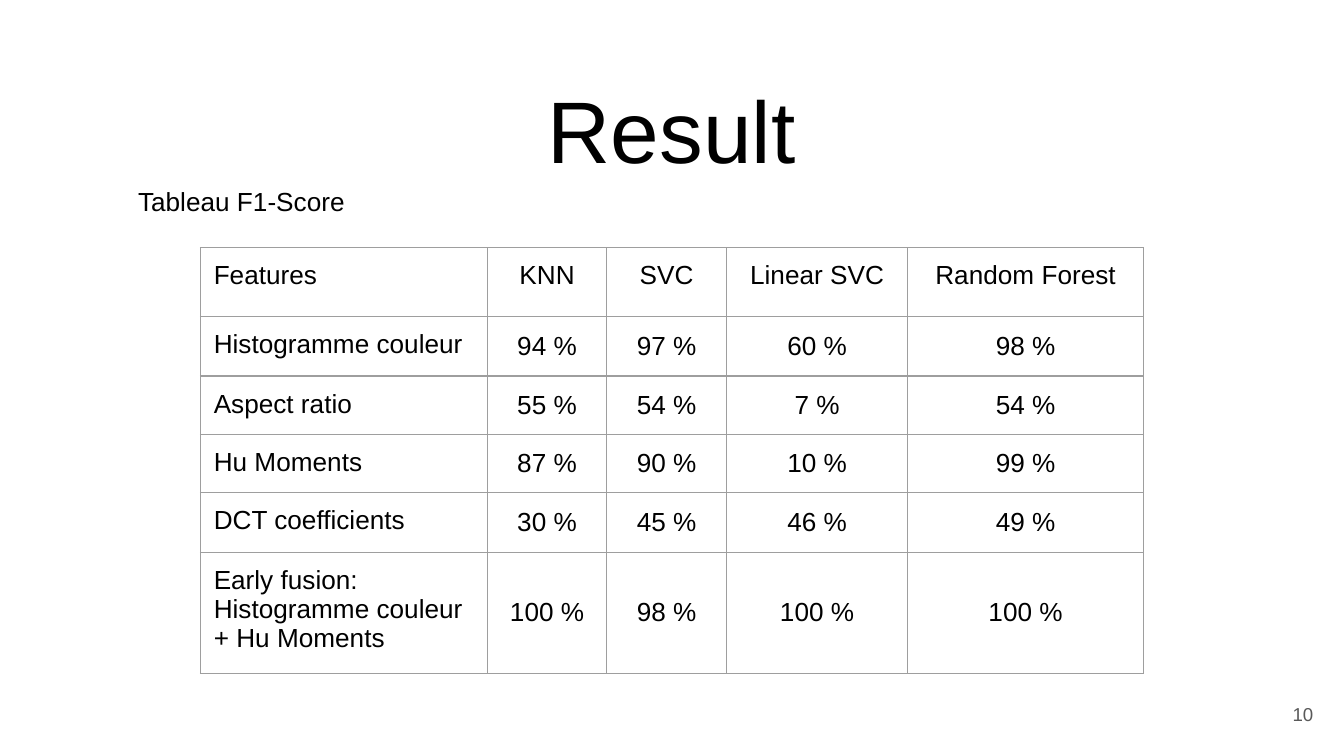
import pptx
import pptx.dml.color
import pptx.enum.text
import pptx.oxml
import pptx.oxml.ns
import pptx.util

Cm = pptx.util.Cm
Pt = pptx.util.Pt
Align = pptx.enum.text.PP_ALIGN
Anchor = pptx.enum.text.MSO_ANCHOR


def color(value):
    return pptx.dml.color.RGBColor.from_string(value)


class SlideBuilder:
    font = "Arial"
    ink = "000000"
    border = "9E9E9E"
    inset = Cm(0.25)

    def __init__(self, slide):
        self.slide = slide

    def set_text(self, text_frame, text, size, align, ink=ink):
        text_frame.text = text
        paragraph = text_frame.paragraphs[0]
        paragraph.alignment = align
        font = paragraph.runs[0].font
        font.name = self.font
        font.size = Pt(size)
        font.color.rgb = color(ink)

    def set_insets(self, target):
        target.margin_left = target.margin_right = self.inset
        target.margin_top = target.margin_bottom = self.inset

    def add_text(self, text, left, top, width, height, size,
                 align=Align.LEFT, anchor=Anchor.TOP, ink=ink):
        shape = self.slide.shapes.add_textbox(Cm(left), Cm(top), Cm(width), Cm(height))
        text_frame = shape.text_frame
        text_frame.word_wrap = True
        text_frame.vertical_anchor = anchor
        self.set_insets(text_frame)
        self.set_text(text_frame, text, size, align, ink)

    def add_borders(self, cell):
        properties = cell._tc.get_or_add_tcPr()
        for index, side in enumerate(("lnL", "lnR", "lnT", "lnB")):
            line = pptx.oxml.parse_xml(
                f'<a:{side} {pptx.oxml.ns.nsdecls("a")} w="{Pt(0.75)}">'
                f'<a:solidFill><a:srgbClr val="{self.border}"/></a:solidFill>'
                f'</a:{side}>')
            properties.insert(index, line)

    def add_table(self, rows, left, top, widths, heights, size):
        frame = self.slide.shapes.add_table(
            len(rows), len(widths), Cm(left), Cm(top), Cm(sum(widths)), Cm(sum(heights)))
        table = frame.table
        table.horz_banding = False
        table.first_row = False
        for column, width in zip(table.columns, widths):
            column.width = Cm(width)
        for row, height in zip(table.rows, heights):
            row.height = Cm(height)
        for row_index, values in enumerate(rows):
            for column_index, value in enumerate(values):
                cell = table.cell(row_index, column_index)
                is_score = row_index > 0 and column_index > 0
                cell.vertical_anchor = Anchor.MIDDLE if is_score else Anchor.TOP
                self.set_insets(cell)
                cell.fill.background()
                self.add_borders(cell)
                align = Align.CENTER if column_index else Align.LEFT
                self.set_text(cell.text_frame, value, size, align)


def main():
    presentation = pptx.Presentation()
    presentation.slide_width = Cm(25.4)
    presentation.slide_height = Cm(14.29)
    builder = SlideBuilder(presentation.slides.add_slide(presentation.slide_layouts[6]))

    builder.add_text("Result", 0.86, 0.28, 23.67, 3.4, 46.8, Align.CENTER, Anchor.BOTTOM)
    builder.add_text("Tableau F1-Score", 2.36, 3.25, 5.87, 1.12, 14)
    builder.add_text("10", 23.55, 12.95, 1.52, 1.09, 10, Align.RIGHT, Anchor.MIDDLE, "595959")

    scores = {
        "Histogramme couleur": (94, 97, 60, 98),
        "Aspect ratio": (55, 54, 7, 54),
        "Hu Moments": (87, 90, 10, 99),
        "DCT coefficients": (30, 45, 46, 49),
        "Early fusion: Histogramme couleur + Hu Moments": (100, 98, 100, 100),
    }
    rows = [["Features", "KNN", "SVC", "Linear SVC", "Random Forest"]]
    rows += [[feature] + [f"{score} %" for score in values]
             for feature, values in scores.items()]
    builder.add_table(rows, 3.79, 4.68, (5.42, 2.26, 2.26, 3.43, 4.45),
                      (1.3, 1.13, 1.1, 1.1, 1.13, 2.29), 14)

    presentation.save("out.pptx")


if __name__ == "__main__":
    main()
